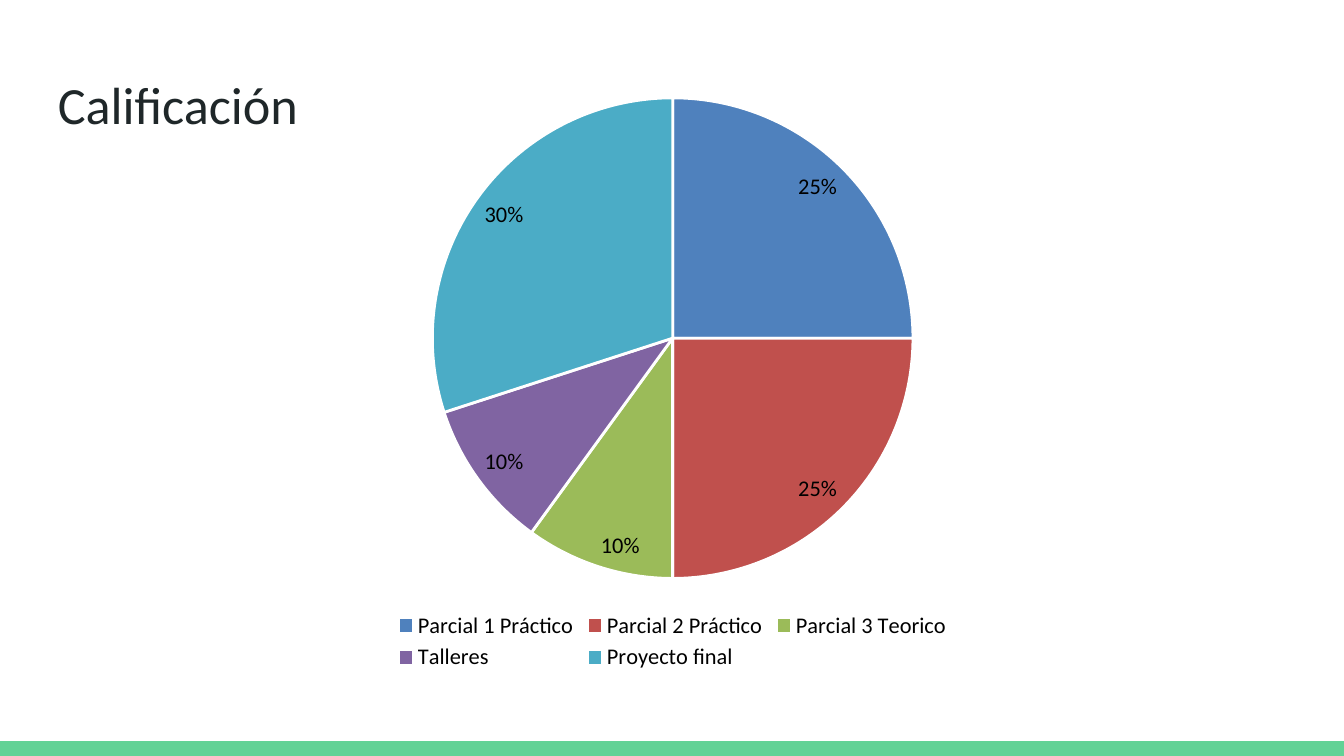
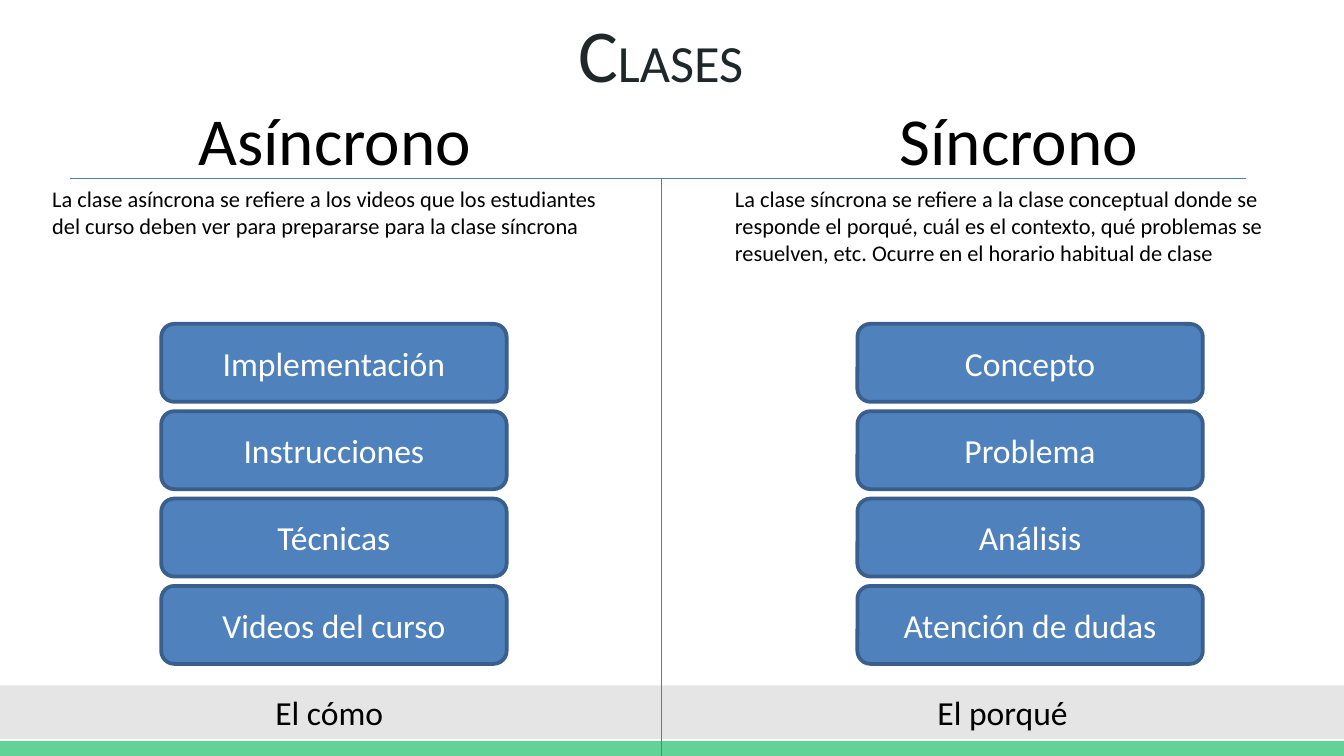
from lxml.etree import SubElement
from pptx import Presentation
from pptx.chart.data import CategoryChartData
from pptx.dml.color import RGBColor
from pptx.enum.chart import XL_CHART_TYPE, XL_LABEL_POSITION, XL_LEGEND_POSITION
from pptx.enum.shapes import MSO_CONNECTOR, MSO_SHAPE
from pptx.enum.text import MSO_ANCHOR, MSO_AUTO_SIZE, PP_ALIGN
from pptx.oxml.ns import qn
from pptx.util import Inches, Pt

WIDTH = 10
HEIGHT = WIDTH * 9 / 16
BAND_HEIGHT = 0.11
FONT = "Calibri"
INK, BLACK, WHITE, GREEN = "1F2729", "000000", "FFFFFF", "62D296"
BOX_FILL, BOX_LINE, RULE = "4F81BD", "3A5F8C", "4B7EBC"

GRADES = [
    ("Parcial 1 Práctico", 25, "4F81BD"),
    ("Parcial 2 Práctico", 25, "C0504D"),
    ("Parcial 3 Teorico", 10, "9BBB59"),
    ("Talleres", 10, "8064A2"),
    ("Proyecto final", 30, "4BACC6"),
]

DIVIDER_X, RULE_Y = 4.92, 1.33
COLUMNS = [
    {
        "heading": ("Asíncrono", 1.28, 2.42),
        "text": ("La clase asíncrona se refiere a los videos que los estudiantes "
                 "del curso deben ver para prepararse para la clase síncrona", 0.29, 0.5),
        "boxes": ["Implementación", "Instrucciones", "Técnicas", "Videos del curso"],
        "boxes_left": 1.2,
        "footer": ("El cómo", -0.02, 4.94),
    },
    {
        "heading": ("Síncrono", 6.14, 2.88),
        "text": ("La clase síncrona se refiere a la clase conceptual donde se responde "
                 "el porqué, cuál es el contexto, qué problemas se resuelven, etc. "
                 "Ocurre en el horario habitual de clase", 5.37, 0.71),
        "boxes": ["Concepto", "Problema", "Análisis", "Atención de dudas"],
        "boxes_left": 6.38,
        "footer": ("El porqué", DIVIDER_X, WIDTH - DIVIDER_X),
    },
]
BOX_TOP, BOX_WIDTH, BOX_HEIGHT, BOX_PITCH = 2.41, 2.57, 0.58, 0.65


def rgb(value):
    return RGBColor.from_string(value)


def style(font, size, color):
    for name, value in {"name": FONT, "size": Pt(size)}.items():
        setattr(font, name, value)
    font.color.rgb = rgb(color)


def write(tf, runs, color, align=PP_ALIGN.CENTER, anchor=MSO_ANCHOR.TOP):
    """Fill a text frame with one paragraph of (text, size) runs."""
    formats = {"word_wrap": True, "auto_size": MSO_AUTO_SIZE.NONE, "vertical_anchor": anchor}
    for name, value in formats.items():
        setattr(tf, name, value)
    p = tf.paragraphs[0]
    p.alignment = align
    for text, size in runs:
        r = p.add_run()
        r.text = text
        style(r.font, size, color)


def add_text(slide, box, text, size, align=PP_ALIGN.CENTER):
    sp = slide.shapes.add_textbox(*map(Inches, box))
    write(sp.text_frame, [(text, size)], BLACK, align)


def add_block(slide, kind, box, fill, line=None):
    sp = slide.shapes.add_shape(kind, *map(Inches, box))
    sp.shadow.inherit = False
    sp.fill.solid()
    sp.fill.fore_color.rgb = rgb(fill)
    if line:
        sp.line.color.rgb = rgb(line)
        sp.line.width = Pt(2)
    else:
        sp.line.fill.background()
    return sp


def add_rule(slide, *ends):
    line = slide.shapes.add_connector(MSO_CONNECTOR.STRAIGHT, *map(Inches, ends))
    line.line.color.rgb = rgb(RULE)
    line.line.width = Pt(0.75)
    SubElement(line.element.spPr, qn("a:effectLst"))


def add_titled_slide(prs, box, runs, align):
    slide = prs.slides.add_slide(prs.slide_layouts[5])
    title = slide.shapes.title
    places = dict(zip(("left", "top", "width", "height"), map(Inches, box)))
    for name, value in places.items():
        setattr(title, name, value)
    for side in ("left", "top", "right", "bottom"):
        setattr(title.text_frame, f"margin_{side}", 0)
    write(title.text_frame, runs, INK, align)
    return slide


def add_layout_band(slide):
    """Put the green bottom band on the layout, so every slide shows it."""
    box = (0, HEIGHT - BAND_HEIGHT, WIDTH, BAND_HEIGHT)
    band = add_block(slide, MSO_SHAPE.RECTANGLE, box, GREEN)
    slide.slide_layout.shapes.element.append(band.element)


def add_grades_chart(slide):
    data = CategoryChartData()
    data.categories = [name for name, _, _ in GRADES]
    data.add_series("Series 1", [value for _, value, _ in GRADES])
    box = map(Inches, (1.67, 0.59, 6.67, 4.44))
    chart = slide.shapes.add_chart(XL_CHART_TYPE.PIE, *box, data).chart
    style(chart.font, 10, BLACK)
    chart.has_title = False
    chart.has_legend = True
    chart.legend.position = XL_LEGEND_POSITION.BOTTOM
    chart.legend.include_in_layout = False
    style(chart.legend.font, 12, BLACK)

    plot = chart.plots[0]
    plot.vary_by_categories = True
    for i, (_, _, color) in enumerate(GRADES):
        point = plot.series[0].points[i].format
        point.fill.solid()
        point.fill.fore_color.rgb = rgb(color)
        point.line.color.rgb = rgb(WHITE)
        point.line.width = Pt(1.5)

    labels = plot.series[0].data_labels
    formats = {"show_percentage": True, "show_value": False, "number_format": "0%",
               "number_format_is_linked": False, "position": XL_LABEL_POSITION.INSIDE_END}
    for name, value in formats.items():
        setattr(labels, name, value)
    style(labels.font, 12, BLACK)


def add_column(slide, column):
    text, left, width = column["footer"]
    footer = add_block(slide, MSO_SHAPE.RECTANGLE, (left, 5.1, width, 0.4), BLACK)
    color = footer.element.spPr.find(f"{qn('a:solidFill')}/{qn('a:srgbClr')}")
    SubElement(color, qn("a:alpha"), val="10000")
    write(footer.text_frame, [(text, 18)], BLACK)

    text, left, width = column["heading"]
    add_text(slide, (left, 0.68, width, 0.71), text, 36)
    text, left, height = column["text"]
    add_text(slide, (left, RULE_Y, 4.42, height), text, 12, PP_ALIGN.LEFT)

    for i, text in enumerate(column["boxes"]):
        box = (column["boxes_left"], BOX_TOP + i * BOX_PITCH, BOX_WIDTH, BOX_HEIGHT)
        sp = add_block(slide, MSO_SHAPE.ROUNDED_RECTANGLE, box, BOX_FILL, BOX_LINE)
        write(sp.text_frame, [(text, 18)], WHITE, anchor=MSO_ANCHOR.MIDDLE)


def main():
    prs = Presentation()
    prs.slide_width, prs.slide_height = Inches(WIDTH), Inches(HEIGHT)

    grading = add_titled_slide(prs, (0.43, 0.54, 9.15, 0.47),
                               [("Calificación", 28)], PP_ALIGN.LEFT)
    add_layout_band(grading)
    add_grades_chart(grading)

    classes = add_titled_slide(prs, (0.34, 0.06, 9.15, 0.67),
                               [("C", 40), ("LASES", 28)], PP_ALIGN.CENTER)
    for column in COLUMNS:
        add_column(classes, column)
    add_rule(classes, DIVIDER_X, RULE_Y, DIVIDER_X, HEIGHT)
    add_rule(classes, 0.52, RULE_Y, 9.27, RULE_Y)

    prs.save("out.pptx")


if __name__ == "__main__":
    main()
